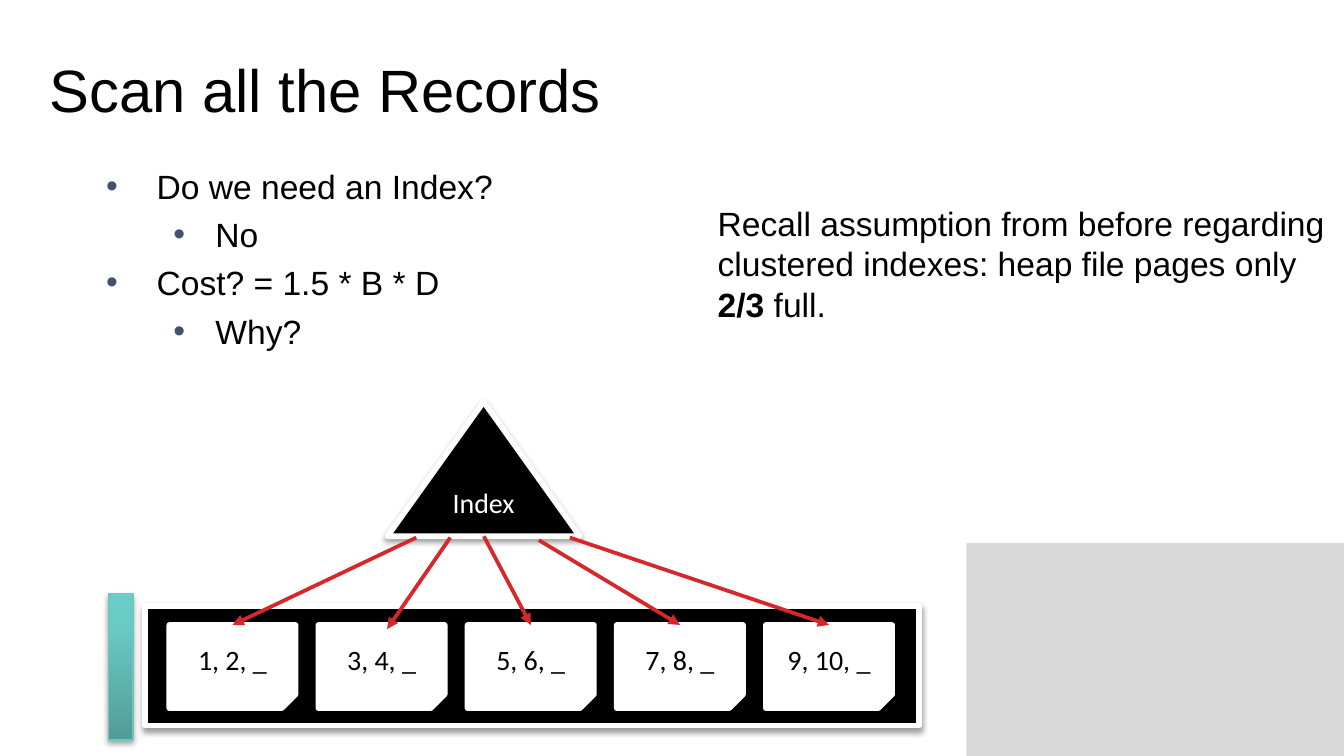
import copy

import lxml.etree
import pptx
import pptx.dml.color
import pptx.enum.shapes
import pptx.enum.text
import pptx.oxml.ns
import pptx.util

Pt = pptx.util.Pt
RGBColor = pptx.dml.color.RGBColor
Shape = pptx.enum.shapes.MSO_SHAPE
Align = pptx.enum.text.PP_ALIGN
Anchor = pptx.enum.text.MSO_ANCHOR
qn = pptx.oxml.ns.qn

BLACK = RGBColor(0, 0, 0)
WHITE = RGBColor(255, 255, 255)
GREY = RGBColor(0xD9, 0xD9, 0xD9)
RED = RGBColor(0xD6, 0x27, 0x2A)
BULLET = RGBColor(0x44, 0x51, 0x6F)
TEAL_LINE = RGBColor(0x74, 0xC4, 0xBE)
TEAL_STOPS = [(0, RGBColor(0x52, 0x9C, 0x98)),
              (0.8, RGBColor(0x6A, 0xCB, 0xC5)),
              (1, RGBColor(0x69, 0xCE, 0xC7))]

TITLE = {"size": Pt(32), "name": "Arial"}
BODY = {"size": Pt(18), "name": "Arial"}
LABEL = {"size": Pt(15), "name": "Calibri"}


def apply(target, values):
    for name, value in values.items():
        setattr(target, name, value)


def add_xml(parent, tag, **values):
    return lxml.etree.SubElement(parent, qn(tag), values)


def add_span(para, text, font, color=BLACK, bold=False):
    span = para.add_run()
    span.text = text
    apply(span.font, {**font, "bold": bold})
    span.font.color.rgb = color


def place(box, left, top, width, height):
    apply(box, {"left": Pt(left), "top": Pt(top),
                "width": Pt(width), "height": Pt(height)})
    apply(box.text_frame, {
        "word_wrap": True, "vertical_anchor": Anchor.TOP,
        "auto_size": pptx.enum.text.MSO_AUTO_SIZE.NONE,
        "margin_left": Pt(7.2), "margin_right": Pt(7.2),
        "margin_top": Pt(3.6), "margin_bottom": Pt(3.6)})
    return box.text_frame


def format_para(para, level=0, margin=0, indent=0, bullet=False):
    apply(para, {"level": level, "alignment": Align.LEFT, "space_before": Pt(4.3)})
    props = para._p.get_or_add_pPr()
    props.set("marL", str(Pt(margin)))
    props.set("indent", str(Pt(indent)))
    if bullet:
        add_xml(add_xml(props, "a:buClr"), "a:srgbClr", val=str(BULLET))
        add_xml(props, "a:buFont", typeface="Arial")
        add_xml(props, "a:buChar", char="•")
    else:
        add_xml(props, "a:buNone")


def add_title(box, text):
    para = place(box, 19.5, 24.5, 682.5, 91.5).paragraphs[0]
    para.alignment = Align.LEFT
    add_span(para, text, TITLE)


def add_list(box, items):
    frame = place(box, 49.7, 85, 332.6, 207.4)
    for index, (level, text) in enumerate(items):
        para = frame.add_paragraph() if index else frame.paragraphs[0]
        margin, indent = [(27, -27), (58.5, -22.5)][level]
        format_para(para, level, margin, indent, bullet=True)
        add_span(para, text, BODY)


def add_remark(box, spans):
    para = place(box, 377.3, 105.1, 342, 207.4).paragraphs[0]
    format_para(para)
    for text, bold in spans:
        add_span(para, text, BODY, bold=bold)


def add_shadow(shape, alpha, blur, distance):
    effects = shape._element.spPr.find(qn("a:effectLst"))
    shadow = add_xml(effects, "a:outerShdw", blurRad=str(Pt(blur)),
                     dist=str(Pt(distance)), dir="5400000", rotWithShape="0")
    color = add_xml(shadow, "a:srgbClr", val=str(BLACK))
    add_xml(color, "a:alpha", val=str(alpha * 1000))


def add_plain(page, kind, left, top, width, height, fill=None):
    shape = page.shapes.add_shape(kind, Pt(left), Pt(top), Pt(width), Pt(height))
    if fill is not None:
        shape.fill.solid()
        shape.fill.fore_color.rgb = fill
    shape.line.fill.background()
    shape.shadow.inherit = False
    return shape


def set_line(shape, color, width):
    shape.line.color.rgb = color
    shape.line.width = Pt(width)


def add_block(page, kind, left, top, width, height, fill, text="", color=BLACK):
    shape = add_plain(page, kind, left, top, width, height, fill)
    set_line(shape, WHITE, 3)
    add_shadow(shape, 38, 3.1, 1.6)
    if text:
        frame = shape.text_frame
        apply(frame, {"word_wrap": True, "vertical_anchor": Anchor.MIDDLE})
        frame.paragraphs[0].alignment = Align.CENTER
        add_span(frame.paragraphs[0], text, LABEL, color)


def add_arrow(page, start, end):
    arrow = page.shapes.add_connector(
        pptx.enum.shapes.MSO_CONNECTOR.STRAIGHT, *map(Pt, start + end))
    set_line(arrow, RED, 2)
    add_xml(arrow.line._get_or_add_ln(), "a:tailEnd", type="triangle")
    add_xml(arrow._element.spPr, "a:effectLst")


def add_teal_bar(page):
    bar = add_plain(page, Shape.RECTANGLE, 58, 318, 13.3, 78.5)
    bar.fill.gradient()
    bar.fill.gradient_angle = 90
    stops = bar._element.spPr.find(".//" + qn("a:gsLst"))
    stops.append(copy.deepcopy(stops[-1]))
    for stop, (position, color) in zip(bar.fill.gradient_stops, TEAL_STOPS):
        stop.position = position
        stop.color.rgb = color
    set_line(bar, TEAL_LINE, 0.75)
    add_shadow(bar, 35, 3.1, 1.8)


def add_index_diagram(page):
    add_block(page, Shape.ISOSCELES_TRIANGLE, 207.6, 215.3, 103, 72,
              BLACK, "Index", WHITE)
    add_block(page, Shape.RECTANGLE, 77.8, 324.7, 414.7, 64.1, BLACK)
    records = ["1, 2, _", "3, 4, _", "5, 6, _", "7, 8, _", "9, 10, _"]
    for index, text in enumerate(records):
        add_block(page, Shape.FOLDED_CORNER, 90.7 + 79.9 * index, 334.8,
                  67.7, 44.6, WHITE, text)
    starts = [(223, 288), (241.2, 288), (259.2, 287.3), (288.7, 289.4), (305.3, 288)]
    ends = [(124.6 + 79.9 * index, 334.8) for index in range(len(starts))]
    ends[1] = (207.4, 337)
    for start, end in zip(starts, ends):
        add_arrow(page, start, end)


def main():
    deck = pptx.Presentation()
    deck.slide_width, deck.slide_height = Pt(720), Pt(405)
    page = deck.slides.add_slide(deck.slide_layouts[3])
    title, left_body, right_body = page.placeholders
    add_plain(page, Shape.RECTANGLE, 517.7, 290.9, 202.3, 114.1, GREY)
    add_title(title, "Scan all the Records")
    add_remark(right_body, [
        ("Recall assumption from before regarding clustered indexes: "
         "heap file pages only ", False),
        ("2/3", True), (" full.", False)])
    add_list(left_body, [(0, "Do we need an Index?"), (1, "No"),
                         (0, "Cost? = 1.5 * B * D"), (1, "Why?")])
    add_index_diagram(page)
    add_teal_bar(page)
    deck.save("out.pptx")


main()
